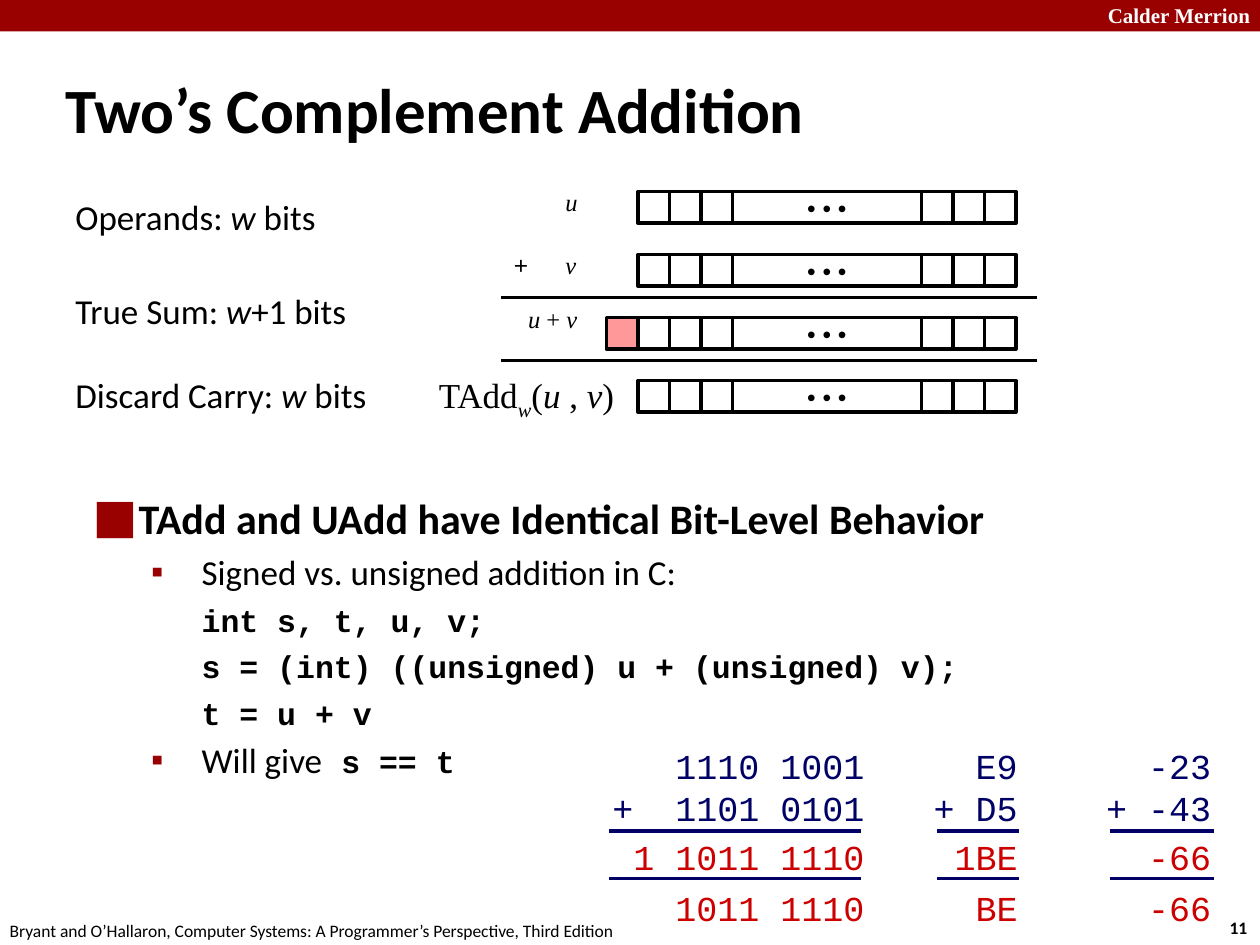
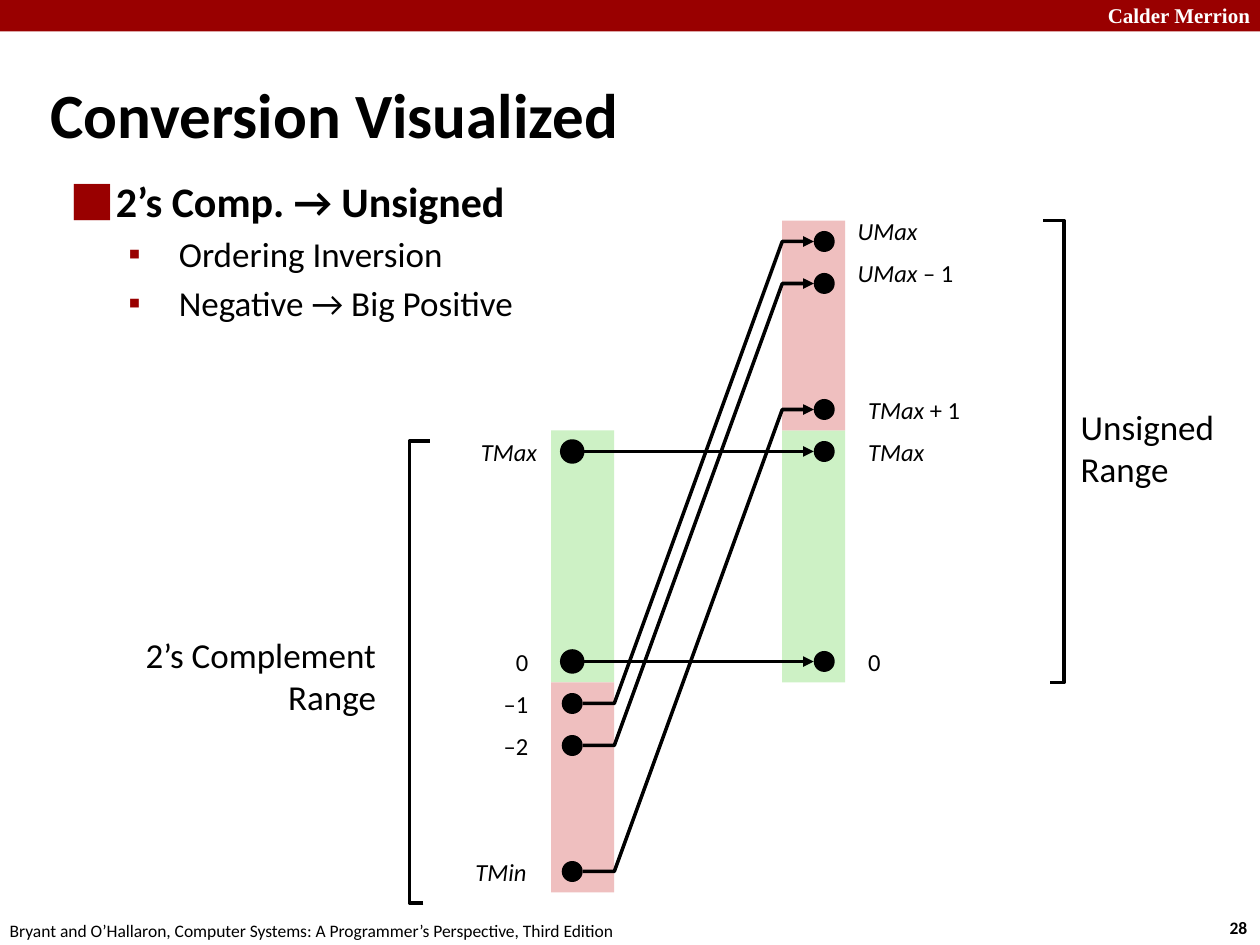
from dataclasses import dataclass

from lxml import etree
from pptx import Presentation
from pptx import util as u
from pptx.dml.color import RGBColor
from pptx.enum import shapes as sh
from pptx.enum import text as tx
from pptx.oxml.ns import qn

Pt = u.Pt
LEFT, MID, RIGHT = tx.PP_ALIGN.LEFT, tx.PP_ALIGN.CENTER, tx.PP_ALIGN.RIGHT
RECT, OVAL = sh.MSO_SHAPE.RECTANGLE, sh.MSO_SHAPE.OVAL


@dataclass(frozen=True)
class Theme:
    ink: str = "000000"
    paper: str = "FFFFFF"
    band: str = "990000"
    carry: str = "FF9999"
    navy: str = "000066"
    red: str = "CC0000"
    green: str = "CDF1C5"
    pink: str = "EFBFBF"
    sans: str = "Calibri"
    serif: str = "Times New Roman"
    mono: str = "Courier New"
    plain: str = "Arial"
    title: int = 36
    head: int = 24
    text: int = 20
    code: int = 18
    label: int = 14
    mark: int = 12
    foot: int = 10
    line: int = 2


T = Theme()

SCHOOL = "Calder Merrion"
BOOK = "Bryant and O’Hallaron, Computer Systems: A Programmer’s Perspective, Third Edition"

ADD = {
    "title": "Two’s Complement Addition",
    "spot": (30, 40, 588, 44),
    "page": "11",
    "body": [
        ("head", "TAdd and UAdd have Identical Bit-Level Behavior"),
        ("item", "Signed vs. unsigned addition in C:"),
        ("code", "`int s, t, u, v;`"),
        ("code", "`s = (int) ((unsigned) u + (unsigned) v);`"),
        ("code", "`t = u + v`"),
        ("item", "Will give` s == t`"),
    ],
    "area": (36, 278, 624, 176),
}
STEPS = [
    ("Operands: *w* bits", 108),
    ("True Sum: *w*+1 bits", 162),
    ("Discard Carry: *w* bits", 210),
]
TERMS = [
    ("*u*", 316, 103.5, 24, T.label, T.serif, LEFT),
    ("*v*", 316, 139.5, 24, T.label, T.serif, LEFT),
    ("+", 286.5, 139.5, 26, T.label, T.plain, LEFT),
    ("*u* + *v*", 286.5, 170, 50.5, T.label, T.serif, RIGHT),
    ("TAdd*w*(*u* , *v*)", 239, 210, 119, T.text, T.serif, RIGHT),
]
SUMS = [
    (345.6, 158, 12, (348, 492), ["1110 1001", "+\t1101 0101", "1 1011 1110", "1011 1110"]),
    (529.2, 60, 4, (535.5, 582.5), ["E9", "+\tD5", "1BE", "BE"]),
    (627.8, 73, 5, (634.5, 694), ["-23", "+\t-43", "-66", "-66"]),
]

MAP = {
    "title": "Conversion Visualized",
    "spot": (21.5, 42, 626, 45),
    "page": "28",
    "body": [
        ("head", "2’s Comp. → Unsigned"),
        ("item", "Ordering Inversion"),
        ("item", "Negative → Big Positive"),
    ],
    "area": (23, 96.5, 328, 135),
}
BARS = [
    (447, 246, 144, T.green),
    (315, 246, 144, T.green),
    (315, 390, 120, T.pink),
    (447, 126, 120, T.pink),
]
PAIRS = [
    ("0", 309, 378, "0", 489, 12),
    ("*TMax*", 314, 258, "*TMax*", 489, 12),
    ("*TMin*", 308, 498, "*TMax* + 1", 489, 12),
    ("–1", 309, 402, "*UMax*", 483, 18),
    ("–2", 309, 426, "*UMax* – 1", 483, 18),
]
FOLD, SHIFT = 390, 264
RANGES = [
    (["2’s Complement Range"], 54, 358.5, 168, RIGHT),
    (["Unsigned", "Range"], 610.5, 228, 92, LEFT),
]
BRACES = [
    [(242, 516), (234, 516), (234, 252), (246, 252)],
    [(600, 390), (608, 390), (608, 126), (596, 126)],
]


def tint(hue):
    return RGBColor.from_string(hue)


def write(par, line, size, font=T.sans, hue=T.ink, bold=False):
    for i, part in enumerate(line.split("*")):
        for j, bit in enumerate(part.split("`")):
            if not bit:
                continue
            run = par.add_run()
            run.text = bit
            face = run.font
            face.size = Pt(T.code if j % 2 else size)
            face.name = T.mono if j % 2 else font
            face.bold = bold or j % 2 == 1
            face.italic = i % 2 == 1
            face.color.rgb = tint(hue)


def indent(par, left, first):
    props = par._p.get_or_add_pPr()
    props.set("marL", str(Pt(left)))
    props.set("indent", str(Pt(first)))
    return props


def label(slide, lines, x, y, w, h, size, font=T.sans, hue=T.ink,
          align=LEFT, bold=False, pad=(7.2, 3.6)):
    box = slide.shapes.add_textbox(Pt(x), Pt(y), Pt(w), Pt(h))
    frame = box.text_frame
    frame.word_wrap = True
    frame.margin_left, frame.margin_top = Pt(pad[0]), Pt(pad[1])
    for i, line in enumerate(lines):
        par = frame.add_paragraph() if i else frame.paragraphs[0]
        par.alignment = align
        write(par, line, size, font, hue, bold)
    return frame


def block(home, kind, x, y, w, h, fill, edge=None):
    item = home.shapes.add_shape(kind, Pt(x), Pt(y), Pt(w), Pt(h))
    item.shadow.inherit = False
    item.fill.solid()
    item.fill.fore_color.rgb = tint(fill)
    if edge:
        stroke(item, edge)
    else:
        item.line.fill.background()
    return item


def stroke(item, hue=T.ink, arrow=False):
    item.line.color.rgb = tint(hue)
    item.line.width = Pt(T.line)
    if arrow:
        edge = item.line._get_or_add_ln()
        etree.SubElement(edge, qn("a:tailEnd")).set("type", "triangle")


def rule(slide, x, y, end, hue=T.ink, arrow=False):
    line = slide.shapes.add_connector(
        sh.MSO_CONNECTOR.STRAIGHT, Pt(x), Pt(y), Pt(end), Pt(y))
    stroke(line, hue, arrow)
    etree.SubElement(line._element.spPr, qn("a:effectLst"))


def trace(slide, dots, arrow=False):
    pen = slide.shapes.build_freeform(*dots[0], scale=Pt(1))
    pen.add_line_segments(dots[1:], close=False)
    item = pen.convert_to_shape()
    item.shadow.inherit = False
    item.fill.background()
    stroke(item, T.ink, arrow)


def place(item, spot):
    item.left, item.top, item.width, item.height = map(Pt, spot)
    item.text_frame.auto_size = tx.MSO_AUTO_SIZE.NONE
    return item.text_frame


def bullet(par, kind, line):
    head = kind == "head"
    par.level = 0 if head else 1
    par.space_before = Pt({"head": 4.8, "item": 4, "code": 5}[kind])
    left, first = {"head": (36, -25.2), "item": (72, -28.8), "code": (72, 0)}[kind]
    props = indent(par, left, first)
    if kind == "code":
        etree.SubElement(props, qn("a:buNone"))
    else:
        shade = etree.SubElement(props, qn("a:buClr"))
        etree.SubElement(shade, qn("a:srgbClr")).set("val", T.band)
        etree.SubElement(props, qn("a:buChar")).set("char", "⬛" if head else "▪")
    write(par, line, T.head if head else T.text, bold=head)


def start(deck, page):
    slide = deck.slides.add_slide(deck.slide_layouts[1])
    block(slide, RECT, 0, 0, 720, 18, T.band)
    label(slide, [SCHOOL], 622, -2, 99.5, 21.5, T.mark, T.serif, T.paper, RIGHT, True)
    label(slide, [page["page"]], 695.5, 520.5, 27, 19.5, T.foot, bold=True)
    label(slide, [BOOK], -1.5, 522, 366, 19.5, T.foot)
    frame = place(slide.shapes.title, page["spot"])
    frame.vertical_anchor = tx.MSO_ANCHOR.MIDDLE
    frame.paragraphs[0].alignment = LEFT
    write(frame.paragraphs[0], page["title"], T.title, bold=True)
    frame = place(slide.placeholders[1], page["area"])
    for i, (kind, line) in enumerate(page["body"]):
        bullet(frame.add_paragraph() if i else frame.paragraphs[0], kind, line)
    return slide


def word(slide, y, carry):
    group = slide.shapes.add_group_shape()
    x, cell = 364.5, 18
    if carry:
        block(group, RECT, x - cell, y, cell, cell, T.carry, T.ink)
    for wide in [cell] * 3 + [6 * cell] + [cell] * 3:
        item = block(group, RECT, x, y, wide, cell, T.paper, T.ink)
        if wide > cell:
            frame = item.text_frame
            frame.word_wrap = False
            frame.vertical_anchor = tx.MSO_ANCHOR.MIDDLE
            frame.margin_top = frame.margin_bottom = 0
            frame.paragraphs[0].alignment = MID
            write(frame.paragraphs[0], "• • •", T.label, T.plain)
        x += wide


def total(slide, x, wide, chars, ends, lines):
    rows = [(421, 57, lines[:2], T.navy),
            (473, 32, lines[2:3], T.red),
            (502, 32, lines[3:], T.red)]
    step = 0.6 * T.text
    for y, high, part, hue in rows:
        frame = label(slide, part, x, y, wide, high, T.text, T.mono, hue, pad=(4.3, 4.3))
        for par, line in zip(frame.paragraphs, part):
            left = step * (chars - len(line.split("\t")[-1]))
            indent(par, left, -left if "\t" in line else 0)
    for y in (475, 502):
        rule(slide, ends[0], y, ends[1], T.navy)


def addition(deck):
    slide = start(deck, ADD)
    for row in range(4):
        word(slide, 109.5 + 36 * row, row == 2)
    for y in (170, 206):
        rule(slide, 286.5, y, 592.5)
    for line, y in STEPS:
        label(slide, [line], 36, y, 234, 31.5, T.text)
    for line, x, y, wide, size, font, align in TERMS:
        frame = label(slide, [line], x, y, wide, 29, size, font, align=align)
    frame.paragraphs[0].runs[1].font._element.set("baseline", "-25000")
    for item in SUMS:
        total(slide, *item)


def mapping(deck):
    slide = start(deck, MAP)
    for x, y, high, hue in BARS:
        block(slide, RECT, x, y, 36, high, hue)
    for name, edge, y, twin, x, rise in PAIRS:
        same = y < FOLD
        goal = y if same else y - SHIFT
        block(slide, OVAL, 321, y - 6, 12, 12, T.ink, T.ink if same else None)
        block(slide, OVAL, 465, goal - 6, 12, 12, T.ink)
        if same:
            rule(slide, 333, y, 465, arrow=True)
        else:
            trace(slide, [(333, y), (351, y), (447, goal), (465, goal)], True)
        label(slide, [name], edge - 65, y - 12, 65, 36.5, T.label, align=RIGHT)
        label(slide, [twin], x, goal - rise, 112, 36.5, T.label)
    for lines, x, y, wide, align in RANGES:
        label(slide, lines, x, y, wide, 55.5, T.text, align=align)
    for dots in BRACES:
        trace(slide, dots)


def main():
    deck = Presentation()
    deck.slide_width, deck.slide_height = Pt(720), Pt(540)
    addition(deck)
    mapping(deck)
    deck.save("out.pptx")


if __name__ == "__main__":
    main()
